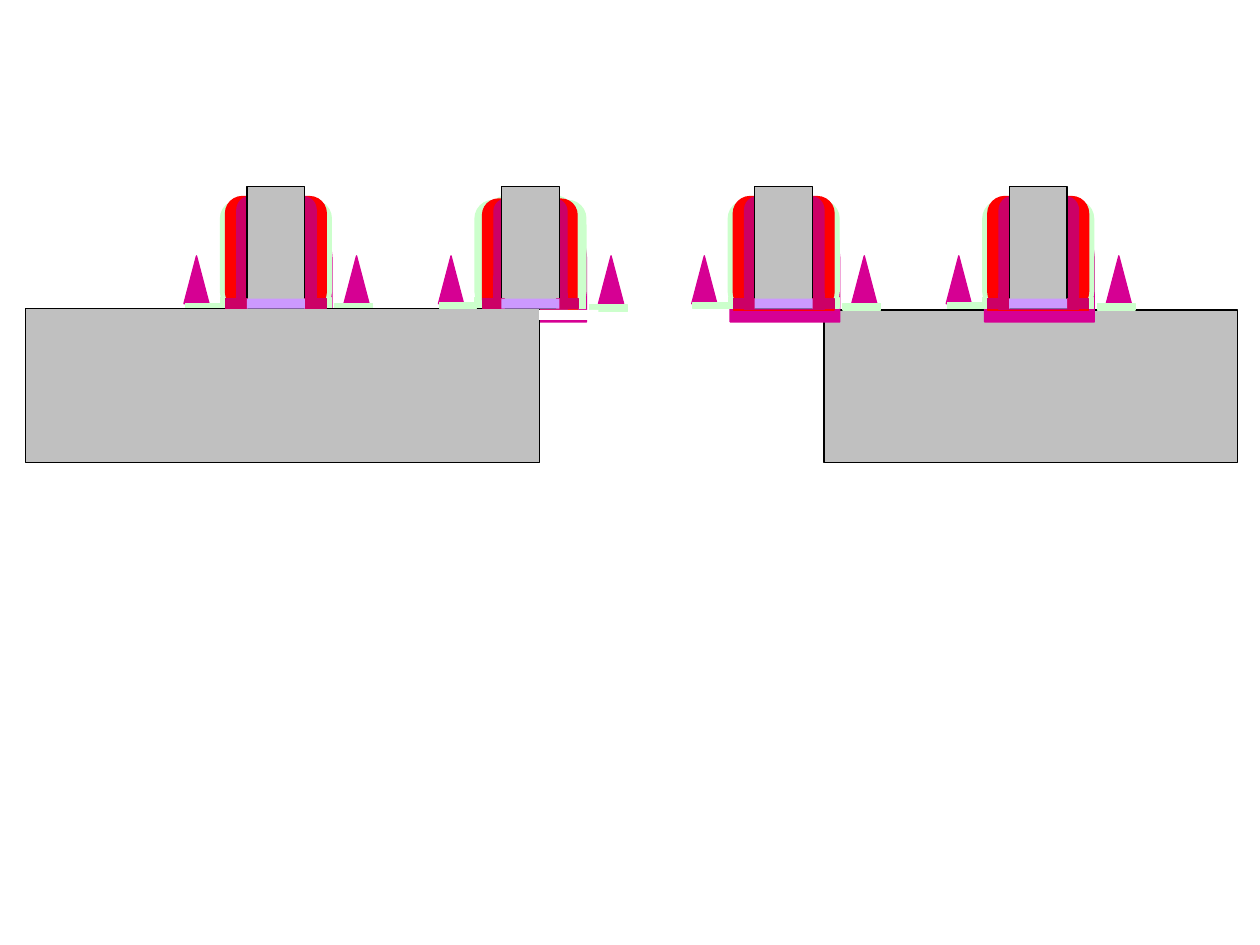
from pptx import Presentation
from pptx.dml.color import RGBColor
from pptx.enum.shapes import MSO_SHAPE
from pptx.util import Inches, Pt

RECT = MSO_SHAPE.RECTANGLE
ROUND = MSO_SHAPE.ROUNDED_RECTANGLE
EXTRACT = MSO_SHAPE.FLOWCHART_EXTRACT
DELAY = MSO_SHAPE.FLOWCHART_DELAY

BLACK = RGBColor(0x00, 0x00, 0x00)
WHITE = RGBColor(0xFF, 0xFF, 0xFF)
GREY = RGBColor(0xC0, 0xC0, 0xC0)
MAGENTA = RGBColor(0xD6, 0x00, 0x93)
CRIMSON = RGBColor(0xCC, 0x00, 0x66)
RED = RGBColor(0xFF, 0x00, 0x00)
MINT = RGBColor(0xCC, 0xFF, 0xCC)
LILAC = RGBColor(0xCC, 0x99, 0xFF)

GATE_WIDTH = 0.46
GATES = [round(1.96 + 2.017 * i, 2) for i in range(4)]
NARROW = 1  # index of the gate with the slimmer spacers


class Drawing:
    """Holds the current slide and the outline style."""

    line_width = Pt(0.75)

    def __init__(self, slide):
        self.slide = slide

    def shape(self, kind, x, y, w, h, fill, line):
        sp = self.slide.shapes.add_shape(
            kind, Inches(x), Inches(y), Inches(w), Inches(h))
        sp.shadow.inherit = False
        sp.fill.solid()
        sp.fill.fore_color.rgb = fill
        if line is None:
            sp.line.fill.background()
        else:
            sp.line.color.rgb = line
            sp.line.width = self.line_width
        return sp

    def block(self, x, y, w, h, fill=GREY, line=BLACK):
        return self.shape(RECT, x, y, w, h, fill, line)

    def layer(self, x, y, w, h, color, kind=RECT):
        """Draw a shape whose outline has the colour of its fill."""
        return self.shape(kind, x, y, w, h, color, color)

    def implant(self, gate):
        """Draw the doped dome under a gate and the spike on each side."""
        for offset in (0.77, -0.5):
            self.layer(gate + offset, 2.03, 0.2, 0.38, MAGENTA, EXTRACT)
        w, h = 0.97, 0.87
        center = gate + 0.24
        dome = self.layer(center - w / 2, 2.07 - h / 2, w, h, MAGENTA, DELAY)
        dome.rotation = 270

    def left_foot(self, gate, y):
        self.layer(gate - 0.49, y, 0.29, 0.05, MINT)

    def right_foot(self, gate, y):
        self.layer(gate + 0.7, y, 0.3, 0.05, MINT)

    def coat(self, gate):
        self.layer(gate - 0.21, 2.36, 0.88, 0.09, MINT)
        self.layer(gate - 0.08, 1.56, 0.63, 0.87, MINT, ROUND)
        self.layer(gate - 0.21, 1.59, 0.88, 0.87, MINT, ROUND)

    def spacer(self, gate, base_top, inset, w, top, h, color):
        self.layer(gate - inset, base_top, w, 2.46 - base_top, color)
        self.layer(gate - inset, top, w, h, color, ROUND)

    def gate_foot(self, gate, inset):
        """Draw the crimson ends and the oxide between them."""
        for x in (gate - inset, gate + GATE_WIDTH + inset - 0.17):
            self.layer(x, 2.37, 0.17, 0.08, CRIMSON)
        self.block(gate, 2.37, GATE_WIDTH, 0.08, LILAC, None)


def build(d):
    d.block(6.54, 2.46, 3.28, 1.21)
    for gate in reversed(GATES):
        d.implant(gate)

    for i, gate in enumerate(GATES):
        if i != NARROW:
            d.right_foot(gate, 2.41)
    d.left_foot(GATES[0], 2.41)
    for gate in reversed(GATES):
        d.coat(gate)

    for i, gate in enumerate(GATES):
        if i == NARROW:
            d.spacer(gate, 2.42, 0.15, 0.75, 1.58, 0.92, RED)
            d.spacer(gate, 2.33, 0.06, 0.58, 1.58, 0.92, CRIMSON)
        else:
            d.spacer(gate, 2.38, 0.17, 0.8, 1.56, 0.89, RED)
            d.spacer(gate, 2.33, 0.08, 0.63, 1.56, 0.89, CRIMSON)
        d.block(gate, 1.48, GATE_WIDTH, 0.97)

    d.block(0.2, 2.45, 4.08, 1.22)
    d.right_foot(GATES[NARROW], 2.42)
    for gate in GATES[1:]:
        d.left_foot(gate, 2.4)
    for i, gate in enumerate(GATES):
        d.gate_foot(gate, 0.15 if i == NARROW else 0.17)
    d.block(4.28, 2.46, 0.47, 0.08, WHITE, None)


def main():
    prs = Presentation()
    prs.slide_width = Inches(10)
    prs.slide_height = Inches(7.5)
    build(Drawing(prs.slides.add_slide(prs.slide_layouts[6])))
    prs.save("out.pptx")


if __name__ == "__main__":
    main()
